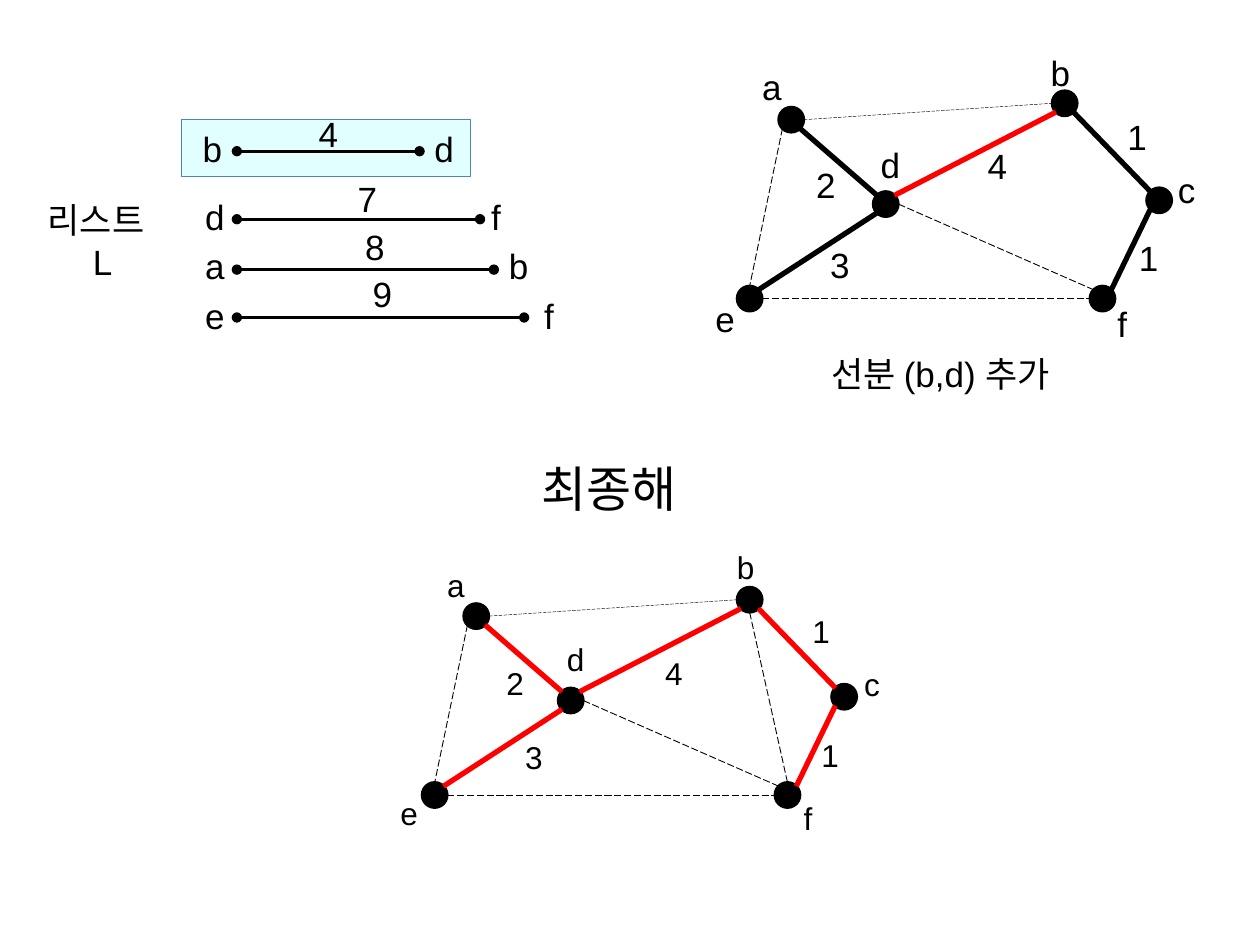
from lxml.etree import SubElement
from pptx import Presentation
from pptx.dml.color import RGBColor
from pptx.enum.dml import MSO_LINE
from pptx.enum.shapes import MSO_CONNECTOR, MSO_SHAPE
from pptx.enum.text import MSO_AUTO_SIZE, PP_ALIGN
from pptx.oxml.ns import qn
from pptx.util import Inches, Pt

THEME = {
    "font": "Arial", "ink": "000000", "red": "FF0000",
    "band": "E1FFFF", "edge": "4F81BD",
    "body": 20, "small": 18, "title": 28,
    "bold": 3, "rim": 1.5, "thin": 0.5, "hair": 0.25,
}

# Node centres of the first graph; the second is the same graph moved.
NODES = {"a": (6.28, 0.95), "b": (8.45, 0.82), "d": (7.03, 1.62),
         "e": (5.95, 2.37), "c": (9.2, 1.59), "f": (8.75, 2.37)}
RADIUS = 0.1
SIDES = {"N": (0, -0.1), "S": (0, 0.1), "E": (0.1, 0), "W": (-0.1, 0),
         "NE": (0.07, -0.07), "NW": (-0.07, -0.07),
         "SE": (0.07, 0.07), "SW": (-0.07, 0.07)}

# Edges: node, side, node, side
TREE = [("a", "SE", "d", "NW"), ("d", "SW", "e", "NE"),
        ("c", "NW", "b", "SE"), ("f", "NE", "c", "SW")]
ADDED = [("d", "NE", "b", "SW")]
REST = [("a", "SW", "e", "N"), ("d", "E", "f", "NW"), ("e", "E", "f", "W")]
FAINT = [("a", "E", "b", "W")]
LAST = [("b", "S", "f", "N")]

GRAPHS = [
    {"shift": (0, 0), "size": "body",
     "edges": [(TREE, "ink", "bold", False), (REST, "ink", "thin", True),
               (FAINT, "ink", "hair", True), (ADDED, "red", "bold", False)],
     "labels": [("a", 5.95, 0.47), ("b", 8.24, 0.36), ("c", 9.25, 1.29),
                ("d", 6.89, 1.09), ("e", 5.58, 2.31), ("f", 8.77, 2.35),
                ("1", 8.85, 0.87), ("1", 8.94, 1.83), ("2", 6.38, 1.25),
                ("3", 6.49, 1.88), ("4", 7.74, 1.1)]},
    {"shift": (-2.5, 3.94), "size": "small",
     "edges": [(TREE + ADDED, "red", "bold", False),
               (REST + LAST, "ink", "thin", True),
               (FAINT, "ink", "hair", True)],
     "labels": [("a", 3.45, 4.44), ("b", 5.75, 4.3), ("c", 6.76, 5.23),
                ("d", 4.4, 5.03), ("e", 3.08, 6.25), ("f", 6.28, 6.29),
                ("1", 6.35, 4.81), ("1", 6.42, 5.79), ("2", 3.92, 5.22),
                ("3", 4.07, 5.81), ("4", 5.18, 5.14)]},
]

# List rows: start (name, left), weight (value, left, top),
# end (name, left), top of names, end and height of the line
ROWS = [
    (("b", 1.51), ("4", 2.43, 0.84), ("d", 3.35), 0.96, 3.33, 1.2),
    (("d", 1.53), ("7", 2.74, 1.36), ("f", 3.8), 1.5, 3.81, 1.74),
    (("a", 1.53), ("8", 2.8, 1.74), ("b", 3.94), 1.89, 3.92, 2.14),
    (("e", 1.53), ("9", 2.86, 2.11), ("f", 4.22), 2.29, 4.16, 2.52),
]
START = 1.88

# Wrapped text: paragraphs with alignment, box, size
NOTES = [
    ([("리스트", PP_ALIGN.LEFT), ("L", PP_ALIGN.CENTER)],
     (0.28, 1.53, 1.07, 0.77), "body"),
    ([("선분 (b,d) 추가", PP_ALIGN.LEFT)], (6.5, 2.75, 2.25, 0.44), "body"),
    ([("최종해 ", PP_ALIGN.CENTER)], (3.75, 3.59, 2.25, 0.57), "title"),
]
WIDTHS = {"body": {"a": 0.35, "c": 0.34, "e": 0.35, "f": 0.29},
          "small": {"c": 0.32, "f": 0.28}}
BASE = {"body": (0.37, 0.44), "small": (0.34, 0.4)}


def paint(name):
    return RGBColor.from_string(THEME[name])


def add_text(slide, paras, box, size, wrap=True):
    frame = slide.shapes.add_textbox(*map(Inches, box)).text_frame
    look = {"word_wrap": wrap, "auto_size": MSO_AUTO_SIZE.SHAPE_TO_FIT_TEXT}
    for key, value in look.items():
        setattr(frame, key, value)
    for i, (text, align) in enumerate(paras):
        para = frame.add_paragraph() if i else frame.paragraphs[0]
        para.alignment = align
        run = para.add_run()
        run.text = text
        look = {"name": THEME["font"], "size": Pt(THEME[size])}
        for key, value in look.items():
            setattr(run.font, key, value)
        run.font.color.rgb = paint("ink")


def add_label(slide, text, left, top, size="body"):
    width, height = BASE[size]
    width = WIDTHS[size].get(text, width)
    add_text(slide, [(text, PP_ALIGN.LEFT)], (left, top, width, height),
             size, wrap=False)


def add_shape(slide, kind, box, fill, line, width):
    shape = slide.shapes.add_shape(kind, *map(Inches, box))
    shape.shadow.inherit = False
    shape.fill.solid()
    shape.fill.fore_color.rgb = paint(fill)
    shape.line.color.rgb = paint(line)
    shape.line.width = Pt(THEME[width])


def add_line(slide, start, end, color, width, dashed=False, dots=False):
    link = slide.shapes.add_connector(
        MSO_CONNECTOR.STRAIGHT, *map(Inches, (*start, *end)))
    link.line.color.rgb = paint(color)
    link.line.width = Pt(THEME[width])
    if dashed:
        link.line.dash_style = MSO_LINE.LONG_DASH
    if dots:
        for tag in ("a:headEnd", "a:tailEnd"):
            SubElement(link.line._get_or_add_ln(), qn(tag), type="oval")
    SubElement(link._element.spPr, qn("a:effectLst"))


def add_graph(slide, graph):
    dx, dy = graph["shift"]
    spots = {name: (x + dx, y + dy) for name, (x, y) in NODES.items()}

    def port(node, side):
        return [p + q for p, q in zip(spots[node], SIDES[side])]

    for x, y in spots.values():
        add_shape(slide, MSO_SHAPE.OVAL,
                  (x - RADIUS, y - RADIUS, 2 * RADIUS, 2 * RADIUS),
                  "ink", "ink", "rim")
    for edges, *style in graph["edges"]:
        for one, side, two, other in edges:
            add_line(slide, port(one, side), port(two, other), *style)
    for label in graph["labels"]:
        add_label(slide, *label, graph["size"])


def add_rows(slide):
    add_shape(slide, MSO_SHAPE.RECTANGLE, (1.44, 0.95, 2.29, 0.45),
              "band", "edge", "hair")
    for first, weight, last, top, right, level in ROWS:
        add_line(slide, (right, level), (START, level), "ink", "rim",
                 dots=True)
        add_label(slide, *weight)
        for name, left in (first, last):
            add_label(slide, name, left, top)


def main():
    deck = Presentation()
    deck.slide_width, deck.slide_height = Inches(10), Inches(7.5)
    slide = deck.slides.add_slide(deck.slide_layouts[6])
    for graph in GRAPHS:
        add_graph(slide, graph)
    add_rows(slide)
    for note in NOTES:
        add_text(slide, *note)
    deck.save("out.pptx")


if __name__ == "__main__":
    main()
